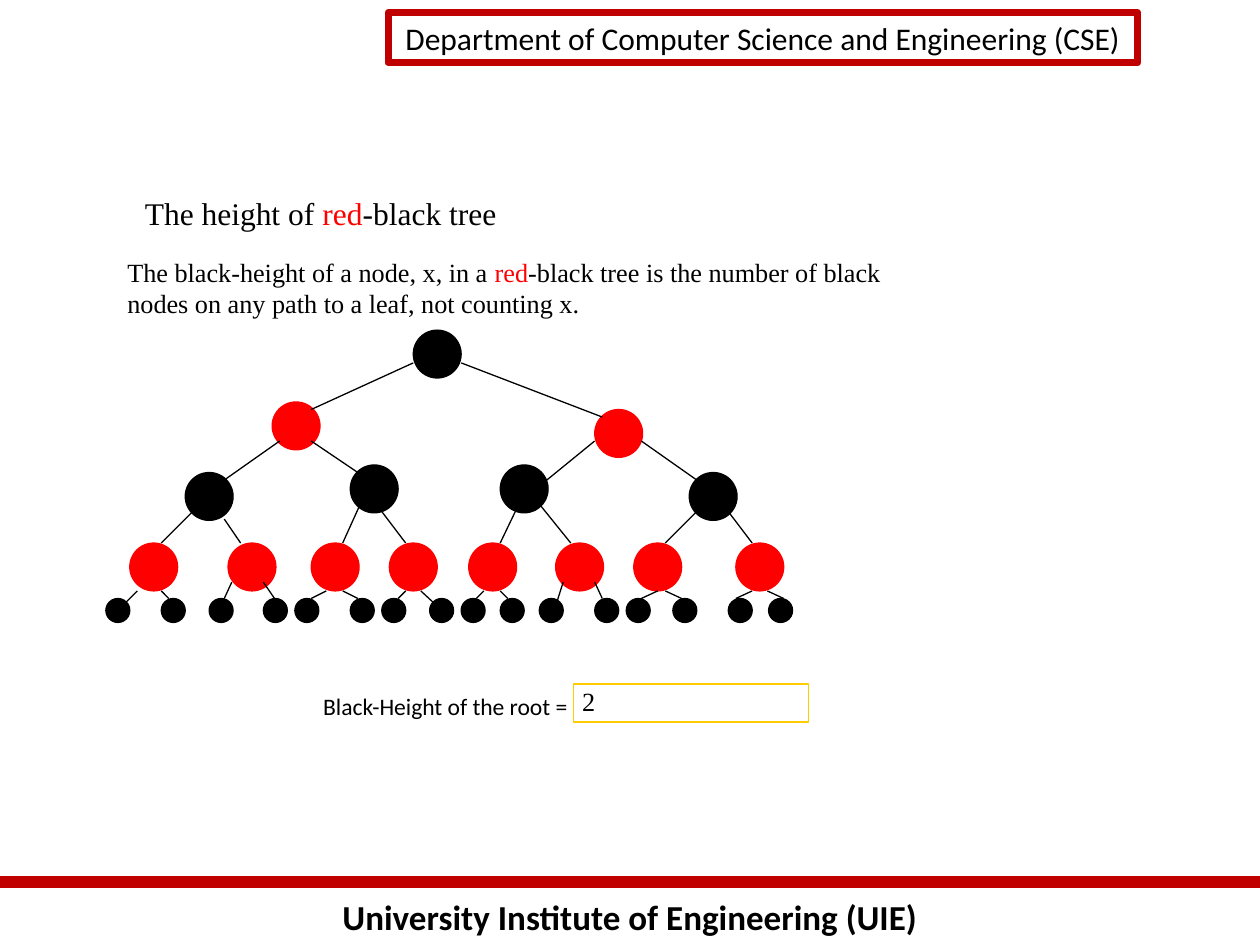
import pptx
import pptx.util
import pptx.dml.color
import pptx.enum.shapes
import pptx.enum.text
import pptx.oxml.ns
from lxml import etree

PX = 9144  # 100 px to the inch
BLACK = pptx.dml.color.RGBColor(0x00, 0x00, 0x00)
RED = pptx.dml.color.RGBColor(0xFF, 0x00, 0x00)
DARK_RED = pptx.dml.color.RGBColor(0xC0, 0x00, 0x00)
GOLD = pptx.dml.color.RGBColor(0xFF, 0xCC, 0x00)
SHAPE = pptx.enum.shapes.MSO_SHAPE
LEFT = pptx.enum.text.PP_ALIGN.LEFT
CENTER = pptx.enum.text.PP_ALIGN.CENTER
TOP = pptx.enum.text.MSO_ANCHOR.TOP
MIDDLE = pptx.enum.text.MSO_ANCHOR.MIDDLE

prs = pptx.Presentation()
prs.slide_width = 1000 * PX
prs.slide_height = 750 * PX
s = prs.slides.add_slide(prs.slide_layouts[6])


def add_line(x1, y1, x2, y2, color=BLACK, width=0.75):
    c = s.shapes.add_connector(pptx.enum.shapes.MSO_CONNECTOR.STRAIGHT,
                               x1 * PX, y1 * PX, x2 * PX, y2 * PX)
    c.line.color.rgb = color
    c.line.width = pptx.util.Pt(width)
    etree.SubElement(c._element.spPr, pptx.oxml.ns.qn("a:effectLst"))


# Text, with an outline where one is given: box, insets, alignment, anchor,
# font, size, bold, outline, runs
texts = [
    ((0, 706, 1000, 43), (10, 5), CENTER, TOP, "Calibri", 20, True, None,
     [("University Institute of Engineering (UIE)", BLACK)]),
    ((308, 10, 595, 40), (10, 5), CENTER, TOP, "Calibri", 18, False, (DARK_RED, 4),
     [("Department of Computer Science and Engineering (CSE)", BLACK)]),
    ((108, 138, 867, 62), (7, 4), LEFT, MIDDLE, "Times New Roman", 18, False, None,
     [("The height of ", BLACK), ("red", RED), ("-black tree", BLACK)]),
    ((94, 199, 638, 58), (7, 4), LEFT, TOP, "Times New Roman", 15, False, None,
     [("The black-height of a node, x, in a ", BLACK), ("red", RED),
      ("-black tree is the number of black nodes on any path to a leaf, "
       "not counting x.", BLACK)]),
    ((200, 545, 311, 30), (7, 4), CENTER, TOP, "Calibri", 13.5, False, None,
     [("Black-Height of the root = ", BLACK)]),
    ((455, 543, 187, 30), (7, 4), LEFT, TOP, "Times New Roman", 15, False, (GOLD, 0.75),
     [("2", BLACK)]),
]
for box, (inset_x, inset_y), align, anchor, font, size, bold, outline, runs in texts:
    box = [v * PX for v in box]
    if outline:
        sp = s.shapes.add_shape(SHAPE.RECTANGLE, *box)
        sp.shadow.inherit = False
        sp.fill.background()
        sp.line.color.rgb = outline[0]
        sp.line.width = pptx.util.Pt(outline[1])
    else:
        sp = s.shapes.add_textbox(*box)
    tf = sp.text_frame
    tf.word_wrap = True
    tf.vertical_anchor = anchor
    tf.margin_left = tf.margin_right = inset_x * PX
    tf.margin_top = tf.margin_bottom = inset_y * PX
    p = tf.paragraphs[0]
    p.alignment = align
    if outline and outline[0] == GOLD:
        p.line_spacing = 0.9
    for text, color in runs:
        r = p.add_run()
        r.text = text
        r.font.name = font
        r.font.size = pptx.util.Pt(size)
        r.font.bold = bold
        r.font.color.rgb = color

add_line(0, 700, 1000, 700, DARK_RED, 7)

# Tree nodes: diameter, colour, (left, top) of each
levels = [
    (38, BLACK, [(328, 262)]),
    (38, RED, [(216, 319), (472, 325)]),
    (38, BLACK, [(147, 375), (278, 369), (397, 369), (547, 375)]),
    (38, RED, [(x, 431) for x in (103, 181, 247, 309, 372, 441, 503, 584)]),
    (19, BLACK, [(x, 475) for x in (84, 128, 166, 209, 234, 278, 303, 341,
                                    366, 397, 428, 472, 497, 534, 578, 610)]),
]
for size, color, nodes in levels:
    for x, y in nodes:
        sp = s.shapes.add_shape(SHAPE.OVAL, x * PX, y * PX, size * PX, size * PX)
        sp.shadow.inherit = False
        sp.fill.solid()
        sp.fill.fore_color.rgb = color
        sp.line.color.rgb = color
        sp.line.width = pptx.util.Pt(0.75)

# Tree edges, level by level: parent end, child end
edges = [
    (328, 288, 247, 325), (366, 288, 478, 331),

    (222, 350, 178, 381), (247, 350, 284, 375),
    (472, 350, 434, 381), (509, 350, 553, 381),

    (153, 406, 128, 431), (178, 412, 191, 431),
    (286, 400, 272, 431), (303, 406, 322, 431),
    (409, 406, 397, 431), (428, 400, 453, 431),
    (553, 406, 528, 431), (578, 406, 597, 431),

    (109, 469, 97, 481), (128, 469, 134, 475),
    (184, 462, 178, 475), (209, 462, 222, 481),
    (259, 469, 247, 475), (272, 469, 284, 475),
    (322, 469, 316, 475), (334, 469, 347, 481),
    (384, 469, 378, 475), (397, 469, 403, 475),
    (447, 462, 441, 481), (472, 462, 478, 475),
    (522, 469, 509, 475), (528, 469, 541, 475),
    (597, 469, 584, 475), (609, 469, 622, 475),
]
for edge in edges:
    add_line(*edge)

prs.save("out.pptx")
